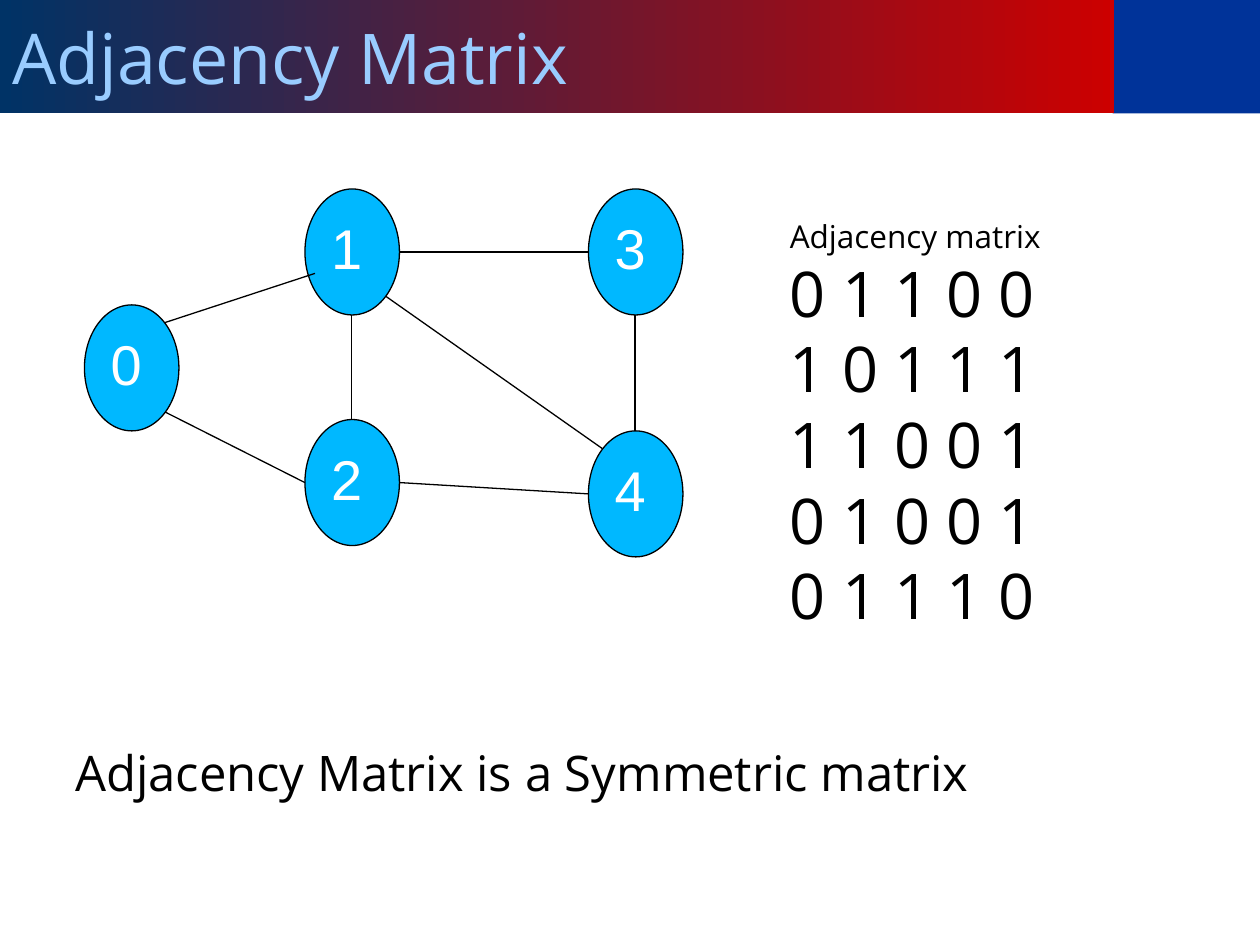
from pptx import Presentation
from pptx.dml.color import RGBColor
from pptx.enum.shapes import MSO_CONNECTOR, MSO_SHAPE
from pptx.enum.text import MSO_ANCHOR, PP_ALIGN
from pptx.oxml.ns import qn
from pptx.util import Inches, Pt
from lxml import etree

RECT, OVAL = MSO_SHAPE.RECTANGLE, MSO_SHAPE.OVAL
LINE = MSO_CONNECTOR.STRAIGHT
LEFT = PP_ALIGN.LEFT
TOP, MIDDLE = MSO_ANCHOR.TOP, MSO_ANCHOR.MIDDLE

COLORS = {"navy": "003366", "red": "CC0000", "blue": "003399", "title": "99CCFF",
          "node": "00B8FF", "ink": "000000", "white": "FFFFFF"}
NODE_W, NODE_H = 0.75, 1
NODES = [(0, 0.92), (1.75, 0), (1.75, 1.83), (4, 0), (4, 1.92)]
# Edge ends, measured from the corner of the graph
EDGES = [((0.64, 1.06), (1.83, 0.67)), ((0.64, 1.77), (1.75, 2.33)),
         ((2.12, 1), (2.12, 1.83)), ((4.37, 1), (4.37, 1.92)),
         ((2.5, 0.5), (4, 0.5)), ((2.5, 2.33), (4, 2.42)),
         ((2.39, 0.85), (4.11, 2.06))]
MATRIX = ["0 1 1 0 0", "1 0 1 1 1", "1 1 0 0 1", "0 1 0 0 1", "0 1 1 1 0"]


def rgb(name):
    """Return the named colour."""
    return RGBColor.from_string(COLORS[name])


def style(para, size, color, font="Open Sans"):
    """Format all runs of a paragraph."""
    para.alignment = LEFT
    for run in para.runs:
        run.font.size = Pt(size)
        run.font.name = font
        run.font.color.rgb = rgb(color)


def add_box(slide, kind, box, fill, edge=None):
    """Add a flat shape, with a thin outline if edge is given."""
    shape = slide.shapes.add_shape(kind, *map(Inches, box))
    shape.shadow.inherit = False
    shape.fill.solid()
    shape.fill.fore_color.rgb = rgb(fill)
    if edge:
        shape.line.color.rgb = rgb(edge)
        shape.line.width = Pt(0.75)
    else:
        shape.line.fill.background()
    return shape


def add_text(slide, box, lines):
    """Add a wrapped text box with one paragraph per line."""
    frame = slide.shapes.add_textbox(*map(Inches, box)).text_frame
    frame.word_wrap = True
    frame.text = "\n".join(lines)
    return frame.paragraphs


def add_header(slide, x, y, w, h):
    """Draw the title band and the block at its right end."""
    band_w = w - 1.16
    add_box(slide, RECT, (x + band_w - 0.01, y, w - band_w + 0.01, h), "blue")
    band = add_box(slide, RECT, (x, y, band_w, h), "red")
    band.fill.gradient()
    band.fill.gradient_angle = 0
    for stop, name in zip(band.fill.gradient_stops, ("navy", "red")):
        stop.color.rgb = rgb(name)
    frame = band.text_frame
    frame.vertical_anchor = MIDDLE
    frame.text = "Adjacency Matrix"
    style(frame.paragraphs[0], 40, "title")


def add_graph(slide, x, y):
    """Draw the numbered nodes and the edges between them."""
    for num, (dx, dy) in enumerate(NODES):
        node = add_box(slide, OVAL, (x + dx, y + dy, NODE_W, NODE_H), "node", "ink")
        frame = node.text_frame
        frame.vertical_anchor = TOP
        frame.text = str(num)
        style(frame.paragraphs[0], 32, "white", "Arial")
    for (ax, ay), (bx, by) in EDGES:
        ends = map(Inches, (x + ax, y + ay, x + bx, y + by))
        edge = slide.shapes.add_connector(LINE, *ends)
        edge.line.color.rgb = rgb("ink")
        edge.line.width = Pt(0.75)
        etree.SubElement(edge.element.spPr, qn("a:effectLst"))


def add_matrix(slide, x, y, w, h):
    """Write the matrix under its caption."""
    head, *rows = add_text(slide, (x, y, w, h), ["Adjacency matrix"] + MATRIX)
    style(head, 18, "ink")
    for row in rows:
        style(row, 36, "ink")


def add_note(slide, x, y, w, h):
    """Write the closing remark."""
    note = add_text(slide, (x, y, w, h), ["Adjacency Matrix is a Symmetric matrix"])
    style(note[0], 28, "ink")


def main():
    """Build and save the slide."""
    deck = Presentation()
    deck.slide_width, deck.slide_height = Inches(10), Inches(7.5)
    slide = deck.slides.add_slide(deck.slide_layouts[6])
    add_header(slide, 0, 0, 10, 0.9)
    add_note(slide, 0.5, 5.84, 9, 0.86)
    add_graph(slide, 0.67, 1.5)
    add_matrix(slide, 6.17, 1.67, 2.87, 3.43)
    deck.save("out.pptx")


main()
